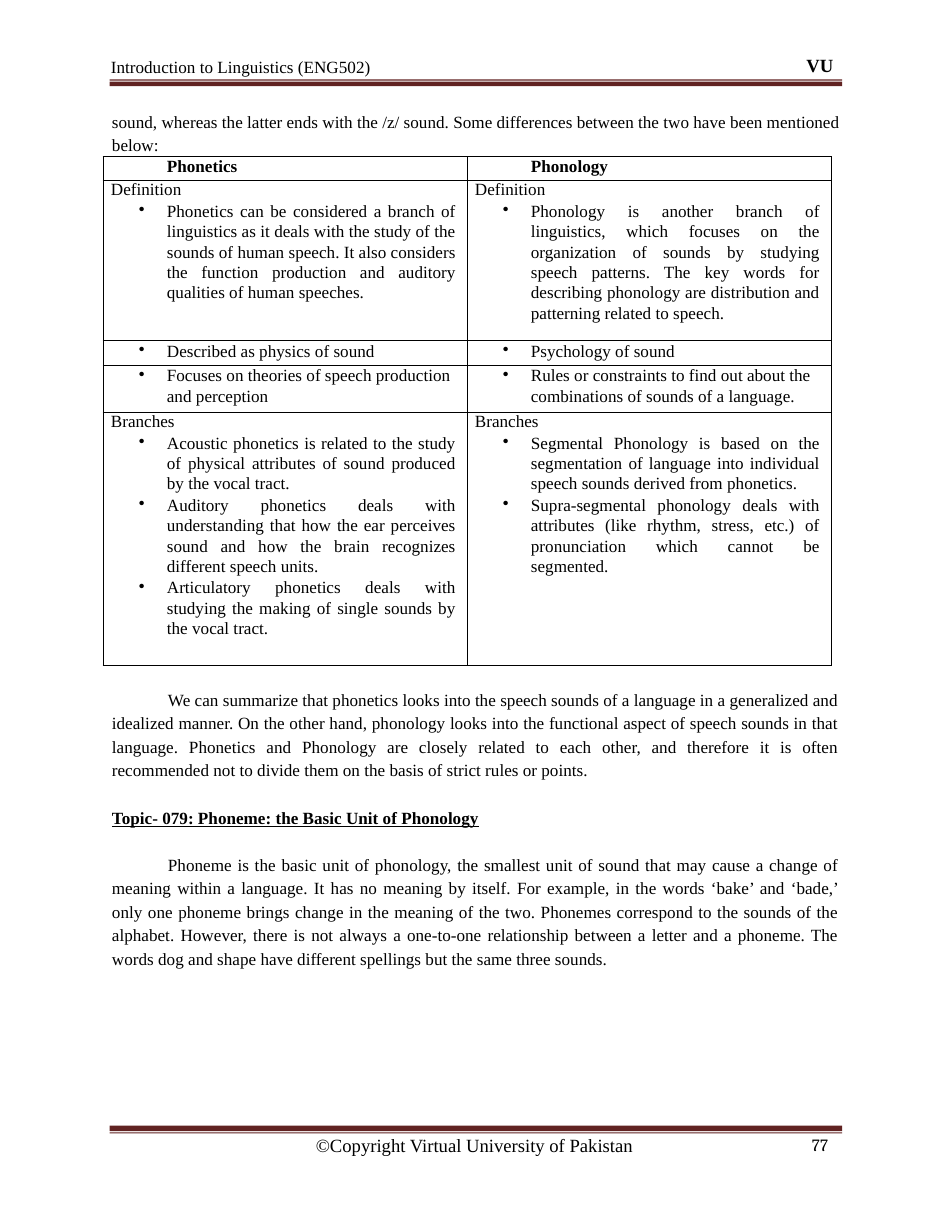
from lxml import etree
from pptx import Presentation, util as u
from pptx.dml.color import RGBColor
from pptx.enum import text
from pptx.oxml import ns

COLORS = {"ink": "000000", "band": "612322", "paper": "FFFFFF"}
SERIF = "Times New Roman"
JUSTIFY = text.PP_ALIGN.JUSTIFY

COMPARISON = [
    [("", ["Phonetics"]), ("", ["Phonology"])],
    [("Definition", [
        "Phonetics can be considered a branch of linguistics as it deals with the study of the "
        "sounds of human speech. It also considers the function production and auditory "
        "qualities of human speeches."]),
     ("Definition", [
         "Phonology is another branch of linguistics, which focuses on the organization of "
         "sounds by studying speech patterns. The key words for describing phonology are "
         "distribution and patterning related to speech."])],
    [("", ["Described as physics of sound"]), ("", ["Psychology of sound"])],
    [("", ["Focuses on theories of speech production and perception"]),
     ("", ["Rules or constraints to find out about the combinations of sounds of a language."])],
    [("Branches", [
        "Acoustic phonetics is related to the study of physical attributes of sound produced "
        "by the vocal tract.",
        "Auditory phonetics deals with understanding that how the ear perceives sound and how "
        "the brain recognizes different speech units.",
        "Articulatory phonetics deals with studying the making of single sounds by the vocal "
        "tract."]),
     ("Branches", [
         "Segmental Phonology is based on the segmentation of language into individual speech "
         "sounds derived from phonetics.",
         "Supra-segmental phonology deals with attributes (like rhythm, stress, etc.) of "
         "pronunciation which cannot be segmented."])],
]
ROW_HEIGHTS = [0.21, 1.43, 0.22, 0.42, 2.26]

INTRO = ("sound, whereas the latter ends with the /z/ sound. Some differences between the two "
         "have been mentioned below:")
SUMMARY = ("We can summarize that phonetics looks into the speech sounds of a language in a "
           "generalized and idealized manner. On the other hand, phonology looks into the "
           "functional aspect of speech sounds in that language. Phonetics and Phonology are "
           "closely related to each other, and therefore it is often recommended not to divide "
           "them on the basis of strict rules or points.")
TOPIC = "Topic- 079: Phoneme: the Basic Unit of Phonology"
PHONEME = ("Phoneme is the basic unit of phonology, the smallest unit of sound that may cause a "
           "change of meaning within a language. It has no meaning by itself. For example, in "
           "the words ‘bake’ and ‘bade,’ only one phoneme brings change in the meaning of the "
           "two. Phonemes correspond to the sounds of the alphabet. However, there is not always "
           "a one-to-one relationship between a letter and a phoneme. The words dog and shape "
           "have different spellings but the same three sounds.")


def color(name):
    return RGBColor.from_string(COLORS[name])


def write(frame, words, size=11, font=SERIF, bold=False, underline=None, align=None,
          left=0, first=0, right=0, bullet=False, spacing=None, before=0):
    """Fill the frame's empty first paragraph, or add one after it."""
    para = frame.paragraphs[0]
    if para.runs:
        para = frame.add_paragraph()
    para.add_run().text = words
    props = para._p.get_or_add_pPr()
    for key, length in (("marL", left), ("marR", right), ("indent", first)):
        props.set(key, str(u.Inches(length)))
    if bullet:
        etree.SubElement(props, ns.qn("a:buChar"), char="•")
    if align is not None:
        para.alignment = align
    if spacing:
        para.line_spacing = spacing
    if before:
        para.space_before = u.Pt(before)
    para.font.name, para.font.size = font, u.Pt(size)
    para.font.bold, para.font.underline = bold, underline
    para.font.color.rgb = color("ink")


def text_frame(slide, left, top, width, height):
    box = slide.shapes.add_textbox(*map(u.Inches, (left, top, width, height)))
    frame = box.text_frame
    frame.word_wrap = True
    frame.margin_left = frame.margin_right = frame.margin_bottom = 0
    frame.margin_top = u.Inches(0.01)
    return frame


def double_rule(slide, left, width, stripes):
    """Draw horizontal stripes, given as (top, bottom), in one outline."""
    right = left + width
    pen = None
    for top, bottom in stripes:
        corners = [(u.Inches(x), u.Inches(y)) for x, y in
                   ((left, top), (right, top), (right, bottom), (left, bottom))]
        if pen is None:
            pen = slide.shapes.build_freeform(*corners[0])
        else:
            pen.move_to(*corners[0])
        pen.add_line_segments(corners[1:], close=True)
    rule = pen.convert_to_shape()
    rule.shadow.inherit = False
    rule.fill.solid()
    rule.fill.fore_color.rgb = color("band")
    rule.line.fill.background()


def page_header(slide, left, top, width):
    write(text_frame(slide, left + 0.01, top + 0.02, 3, 0.21),
          "Introduction to Linguistics (ENG502)")
    write(text_frame(slide, left + 6.22, top, 0.32, 0.23), "VU", size=12, bold=True)
    double_rule(slide, left, width, [(top + 0.24, top + 0.25), (top + 0.26, top + 0.3)])


def page_footer(slide, left, top, width):
    double_rule(slide, left, width, [(top, top + 0.05), (top + 0.06, top + 0.07)])
    write(text_frame(slide, left + 1.84, top + 0.06, 3.1, 0.21),
          "©Copyright Virtual University of Pakistan", size=12)
    write(text_frame(slide, left + 6.27, top + 0.07, 0.3, 0.21), "77", font="Cambria")


def outline_cell(cell):
    cell.margin_left = cell.margin_right = cell.margin_top = cell.margin_bottom = 0
    props = cell._tc.get_or_add_tcPr()
    for side in ("lnL", "lnR", "lnT", "lnB"):
        line = etree.SubElement(props, ns.qn(f"a:{side}"), w=str(u.Pt(0.5)))
        fill = etree.SubElement(line, ns.qn("a:solidFill"))
        etree.SubElement(fill, ns.qn("a:srgbClr"), val=COLORS["ink"])
    cell.fill.solid()
    cell.fill.fore_color.rgb = color("paper")


def comparison_table(slide, left, top, width):
    table = slide.shapes.add_table(
        len(COMPARISON), 2, *map(u.Inches, (left, top, width, sum(ROW_HEIGHTS)))).table
    for column in table.columns:
        column.width = u.Inches(width / 2)
    for r, row in enumerate(COMPARISON):
        table.rows[r].height = u.Inches(ROW_HEIGHTS[r])
        for c, (label, points) in enumerate(row):
            cell = table.cell(r, c)
            outline_cell(cell)
            frame = cell.text_frame
            if label:
                write(frame, label, left=0.07, spacing=u.Pt(12.4))
            for point in points:
                if r == 0:
                    write(frame, point, bold=True, left=0.57, spacing=u.Pt(12.8))
                elif label:
                    write(frame, point, left=0.57, first=-0.25, right=0.1, bullet=True,
                          align=JUSTIFY, spacing=1.07, before=0.7)
                else:
                    write(frame, point, left=0.57, first=-0.25, bullet=True,
                          spacing=u.Pt(13.3))


def closing_text(slide, left, top, width):
    frame = text_frame(slide, left, top, width, 2.45)
    body = dict(left=0.01, first=0.5, align=JUSTIFY, spacing=1.14)
    write(frame, SUMMARY, **body)
    write(frame, TOPIC, left=0.01, bold=True, underline=True, before=17.5)
    write(frame, PHONEME, before=15.2, **body)


def main():
    deck = Presentation()
    deck.slide_width, deck.slide_height = u.Inches(8.5), u.Inches(11)
    slide = deck.slides.add_slide(deck.slide_layouts[6])
    page_header(slide, 0.98, 0.47, 6.54)
    write(text_frame(slide, 0.99, 0.96, 6.53, 0.43), INTRO, left=0.01, spacing=1.12)
    comparison_table(slide, 0.92, 1.4, 6.5)
    closing_text(slide, 0.99, 6.12, 6.5)
    page_footer(slide, 0.98, 10.05, 6.54)
    deck.save("out.pptx")


if __name__ == "__main__":
    main()
